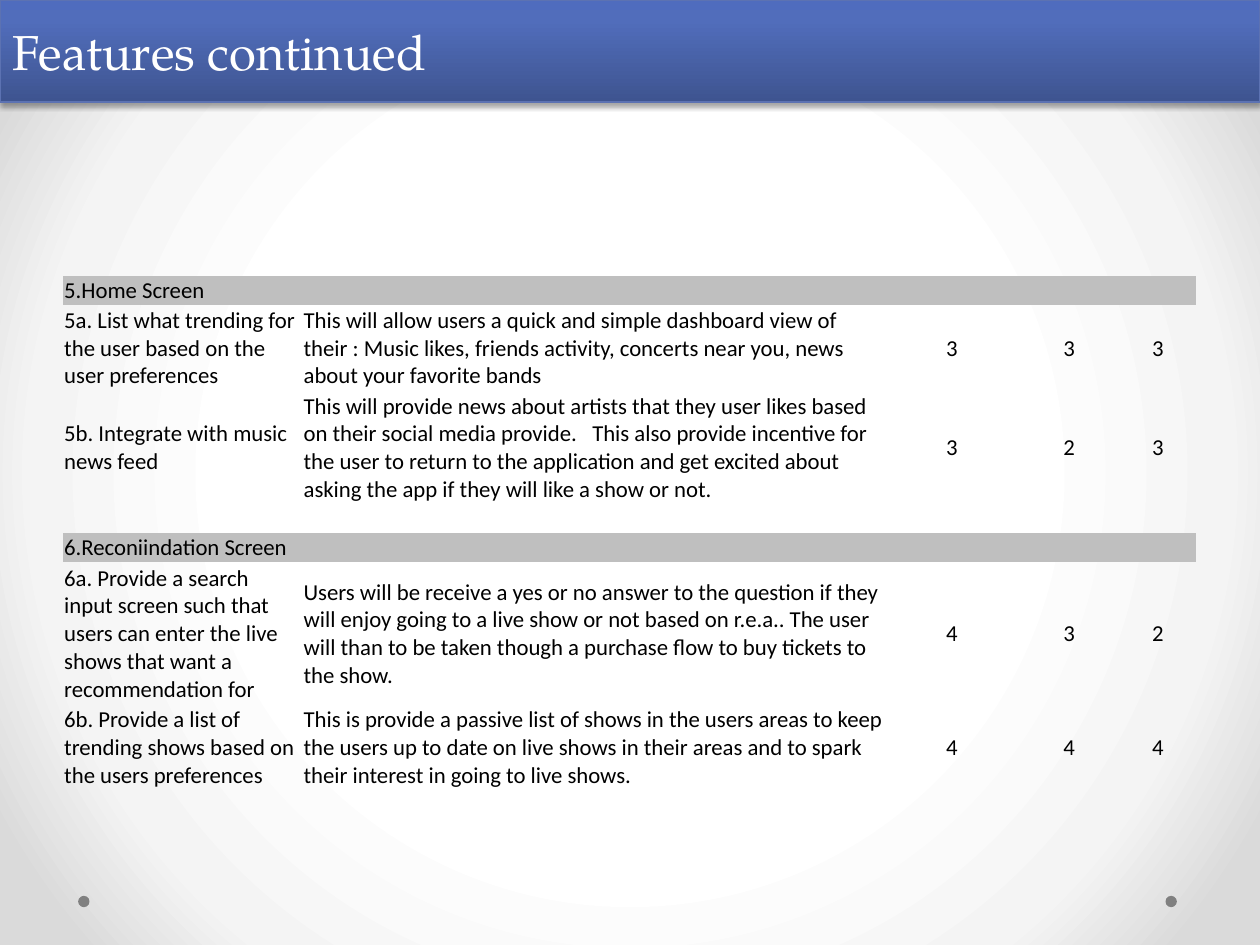
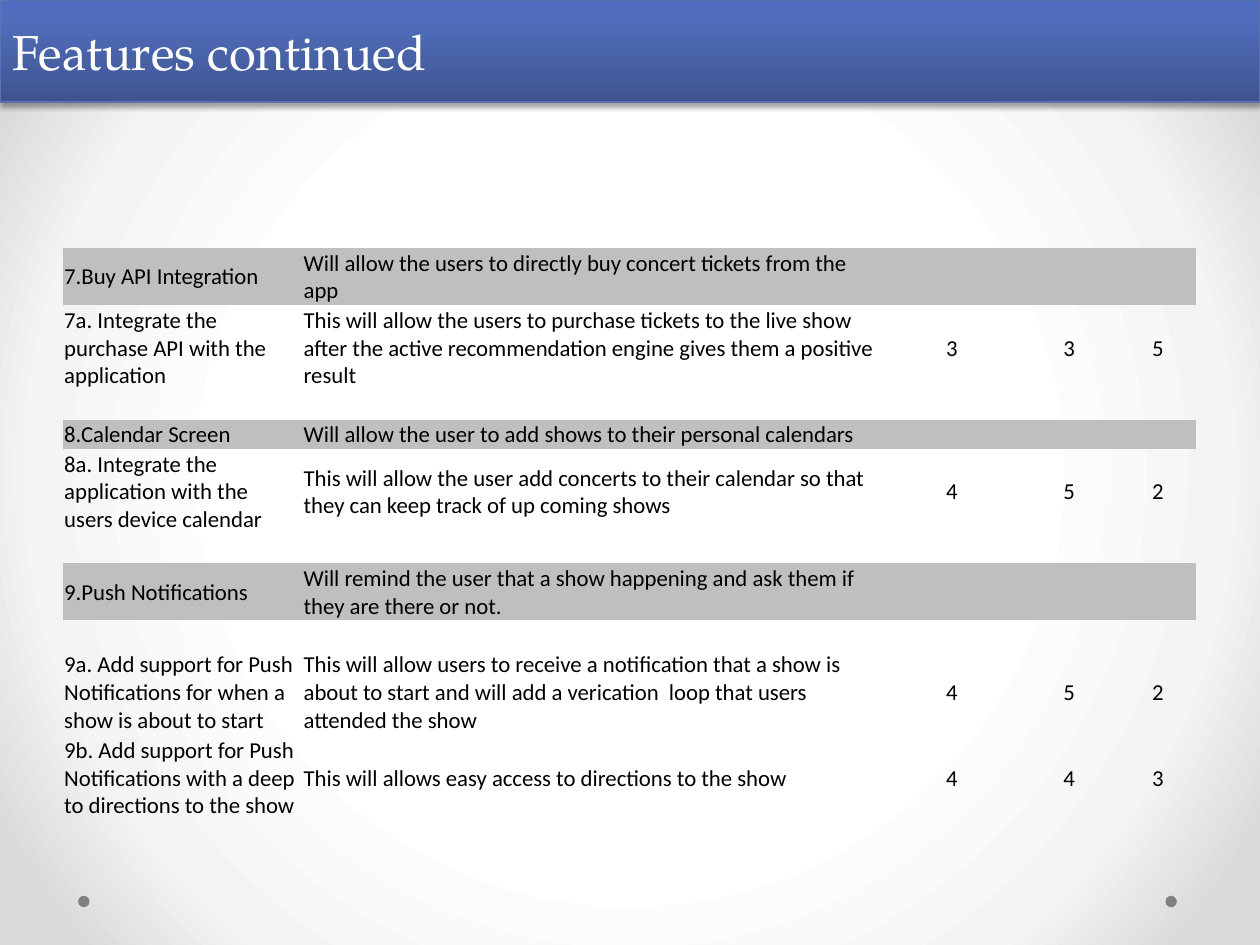
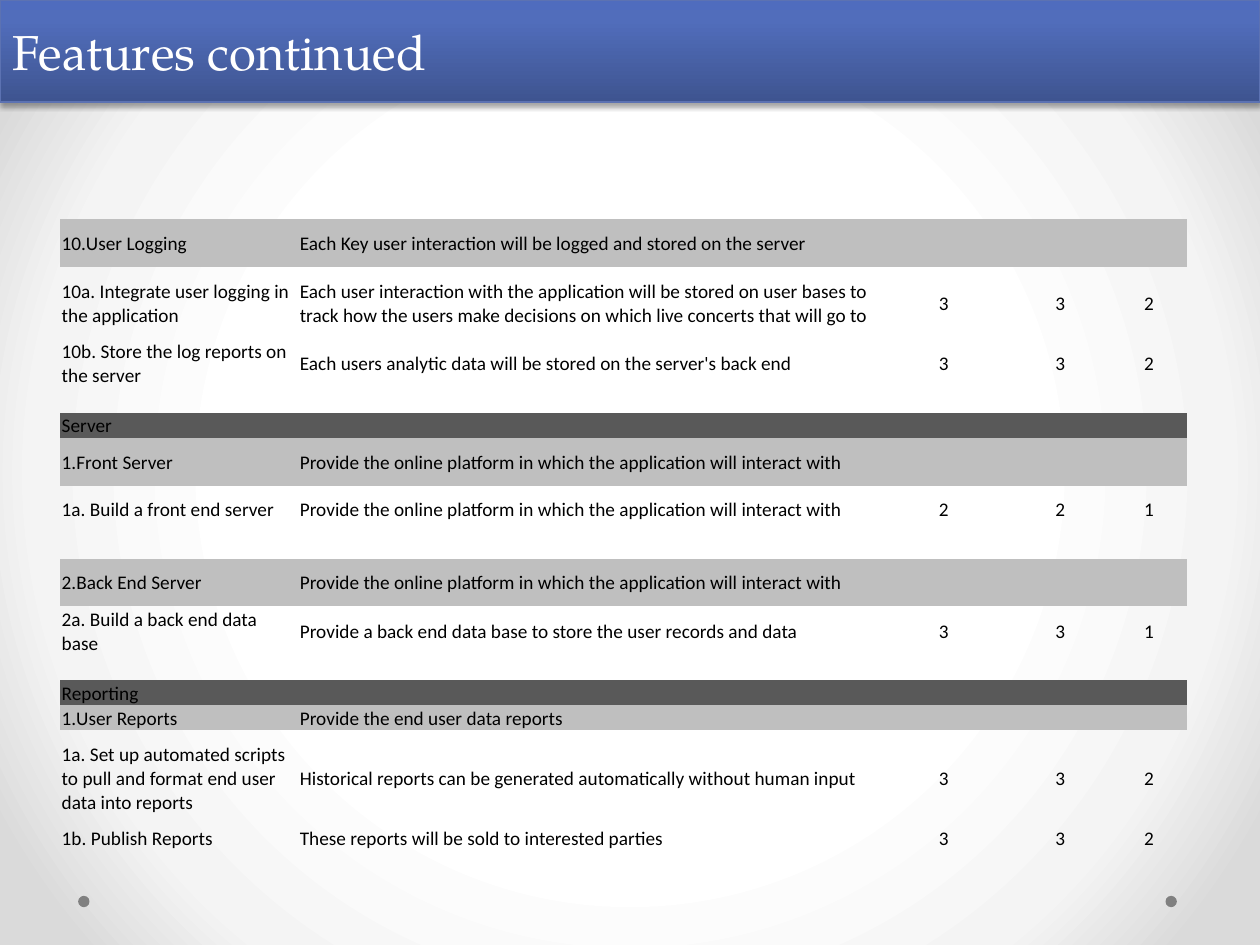
"""Build three feature-list slides, each a title band over a rated table."""
from pptx import Presentation
from pptx.dml.color import RGBColor
from pptx.enum.shapes import MSO_SHAPE
from pptx.enum.text import MSO_ANCHOR, MSO_AUTO_SIZE, PP_ALIGN
from pptx.oxml import parse_xml
from pptx.oxml.ns import nsdecls, qn
from pptx.util import Inches, Pt

BAND, SECTION, PLAIN = "BFBFBF", "595959", None
PLATFORM = "Provide the online platform in which the application will interact with"
NO_STYLE = "{2D5ABB26-0587-4C30-8999-92F81FD0307C}"


def colour(paint, value):
    """Make a fill solid in a hex colour."""
    paint.solid()
    paint.fore_color.rgb = RGBColor.from_string(value)


def gradient(parent, stops, direction):
    """Turn the solid fill in an element into a gradient."""
    marks = "".join(
        f'<a:gs pos="{place * 1000}"><a:srgbClr val="{value}"/></a:gs>'
        for place, value in stops
    )
    blend = parse_xml(
        f'<a:gradFill {nsdecls("a")} rotWithShape="1">'
        f"<a:gsLst>{marks}</a:gsLst>{direction}</a:gradFill>"
    )
    parent.replace(parent.find(qn("a:solidFill")), blend)


tables = [
    {
        "left": 0.5, "top": 2.19, "size": 13,
        "columns": [1.9, 4.63, 1.05, 0.81, 0.6],
        "rows": [
            (0.23, BAND, ["5.Home Screen"]),
            (0.68, PLAIN, [
                "5a. List what trending for the user based on the user preferences",
                "This will allow users a quick and simple dashboard view of their : "
                "Music likes, friends activity, concerts near you, news about your "
                "favorite bands", "3", "3", "3"]),
            (0.9, PLAIN, [
                "5b. Integrate with music news feed",
                "This will provide news about artists that they user likes based on "
                "their social media provide.   This also provide incentive for the "
                "user to return to the application and get excited about asking the "
                "app if they will like a show or not.", "3", "2", "3"]),
            (0.23, PLAIN, []),
            (0.23, BAND, ["6.Reconiindation Screen"]),
            (1.13, PLAIN, [
                "6a. Provide a search input screen such that users can enter the live "
                "shows that want a recommendation for",
                "Users will be receive a yes or no answer to the question if they will "
                "enjoy going to a live show or not based on r.e.a.. The user will than "
                "to be taken though a purchase flow to buy tickets to the show.",
                "4", "3", "2"]),
            (0.68, PLAIN, [
                "6b. Provide a list of trending shows based on the users preferences",
                "This is provide a passive list of shows in the users areas to keep the "
                "users up to date on live shows in their areas and to spark their "
                "interest in going to live shows.", "4", "4", "4"]),
        ],
    },
    {
        "left": 0.5, "top": 1.97, "size": 13,
        "columns": [1.9, 4.63, 1.05, 0.81, 0.6],
        "rows": [
            (0.45, BAND, [
                "7.Buy API Integration",
                "Will allow the users to directly buy concert tickets from the app"]),
            (0.68, PLAIN, [
                "7a. Integrate the purchase API with the application",
                "This will allow the users to purchase tickets to the live show after "
                "the active recommendation engine gives them a positive result",
                "3", "3", "5"]),
            (0.23, PLAIN, []),
            (0.23, BAND, [
                "8.Calendar Screen",
                "Will allow the user to add shows to their personal calendars"]),
            (0.68, PLAIN, [
                "8a. Integrate the application with the users device calendar",
                "This will allow the user add concerts to their calendar so that they "
                "can keep track of up coming shows", "4", "5", "2"]),
            (0.23, PLAIN, []),
            (0.45, BAND, [
                "9.Push Notifications",
                "Will remind the user that a show happening and ask them if they are "
                "there or not."]),
            (0.23, PLAIN, []),
            (0.68, PLAIN, [
                "9a. Add support for Push Notifications for when a show is about to start",
                "This will allow users to receive a notification that a show is about "
                "to start and will add a verication  loop that users attended the show",
                "4", "5", "2"]),
            (0.68, PLAIN, [
                "9b. Add support for Push Notifications with a deep to directions to "
                "the show",
                "This will allows easy access to directions to the show",
                "4", "4", "3"]),
        ],
    },
    {
        "left": 0.48, "top": 1.74, "size": 11,
        "columns": [1.89, 4.6, 1.04, 0.81, 0.6],
        "rows": [
            (0.38, BAND, [
                "10.User Logging",
                "Each Key user interaction will be logged and stored on the server"]),
            (0.57, PLAIN, [
                "10a. Integrate user logging in the application",
                "Each user interaction with the application will be stored on user "
                "bases to track how the users make decisions on which live concerts "
                "that will go to", "3", "3", "2"]),
            (0.38, PLAIN, [
                "10b. Store the log reports on the server",
                "Each users analytic data will be stored on the server's back end",
                "3", "3", "2"]),
            (0.19, PLAIN, []),
            (0.19, SECTION, ["Server"]),
            (0.38, BAND, ["1.Front Server", PLATFORM]),
            (0.38, PLAIN, ["1a. Build a front end server", PLATFORM, "2", "2", "1"]),
            (0.19, PLAIN, []),
            (0.38, BAND, ["2.Back End Server", PLATFORM]),
            (0.38, PLAIN, [
                "2a. Build a back end data base",
                "Provide a back end data base to store the user records and data",
                "3", "3", "1"]),
            (0.19, PLAIN, []),
            (0.19, SECTION, ["Reporting"]),
            (0.19, BAND, ["1.User Reports", "Provide the end user data reports"]),
            (0.76, PLAIN, [
                "1a. Set up automated scripts to pull and format end user data into "
                "reports",
                "Historical reports can be generated automatically without human input",
                "3", "3", "2"]),
            (0.19, PLAIN, [
                "1b. Publish Reports",
                "These reports will be sold to interested parties", "3", "3", "2"]),
        ],
    },
]

deck = Presentation()
deck.slide_width, deck.slide_height = Inches(10), Inches(7.5)
layout = deck.slide_layouts[5]

master = deck.slide_master
colour(master.background.fill, "FFFFFF")
gradient(
    master._element.cSld.bg.bgPr,
    [(50, "FFFFFF"), (76, "F4F4F4"), (92, "DADADA")],
    '<a:path path="circle">'
    '<a:fillToRect l="50000" t="50000" r="50000" b="50000"/></a:path>',
)

for number, content in enumerate(tables):
    page = deck.slides.add_slide(layout)

    if number == 0:
        for dot_id, left in enumerate((9.25, 0.62), start=101):
            dot = page.shapes.add_shape(
                MSO_SHAPE.OVAL, Inches(left), Inches(7.11), Inches(0.09), Inches(0.09))
            dot.shadow.inherit = False
            colour(dot.fill, "808080")
            dot.line.fill.background()
            dot._element.nvSpPr.cNvPr.set("id", str(dot_id))
            layout.shapes._spTree.append(dot._element)

    title = page.shapes.title
    title.left, title.top = Inches(0), Inches(0)
    title.width, title.height = Inches(10), Inches(0.81)
    colour(title.fill, "516DBB")
    colour(title.line.fill, "5C72B2")
    title.line.width = Pt(0.75)
    properties = title._element.spPr
    gradient(
        properties,
        [(0, "3E5490"), (80, "516DBB"), (100, "4F6CBE")],
        '<a:lin ang="16200000" scaled="0"/>',
    )
    properties.append(parse_xml(
        f'<a:effectLst {nsdecls("a")}><a:outerShdw blurRad="{Pt(3.1)}" '
        f'dist="{Pt(1.8)}" dir="5400000" rotWithShape="0"><a:srgbClr val="000000">'
        '<a:alpha val="35000"/></a:srgbClr></a:outerShdw></a:effectLst>'))
    frame = title.text_frame
    frame.auto_size = MSO_AUTO_SIZE.NONE
    frame.vertical_anchor = MSO_ANCHOR.MIDDLE
    frame.paragraphs[0].alignment = PP_ALIGN.LEFT
    span = frame.paragraphs[0].add_run()
    span.text = "Features continued"
    span.font.name, span.font.size = "TeX Gyre Pagella", Pt(28)
    colour(span.font.fill, "FFFFFF")

    columns, rows = content["columns"], content["rows"]
    holder = page.shapes.add_table(
        len(rows), len(columns), Inches(content["left"]), Inches(content["top"]),
        Inches(sum(columns)), Inches(sum(row[0] for row in rows)))
    table = holder.table
    table.first_row = table.horz_banding = False
    table._tbl.tblPr.find(qn("a:tableStyleId")).text = NO_STYLE
    for column, width in zip(table.columns, columns):
        column.width = Inches(width)

    for row, (height, shade, texts) in zip(table.rows, rows):
        row.height = Inches(height)
        for index, cell in enumerate(row.cells):
            cell.margin_left = cell.margin_right = cell.margin_top = Inches(0.01)
            cell.margin_bottom = Inches(0)
            cell.vertical_anchor = MSO_ANCHOR.MIDDLE
            if shade:
                colour(cell.fill, shade)
            else:
                cell.fill.background()
            para = cell.text_frame.paragraphs[0]
            if index < len(texts):
                para.alignment = PP_ALIGN.CENTER if index > 1 else PP_ALIGN.LEFT
                span = para.add_run()
                span.text = texts[index]
                span.font.name, span.font.size = "Calibri", Pt(content["size"])
                colour(span.font.fill, "000000")
            else:
                para._p.append(parse_xml(
                    f'<a:endParaRPr {nsdecls("a")} sz="{content["size"] * 100}">'
                    '<a:latin typeface="Calibri"/></a:endParaRPr>'))

deck.save("out.pptx")
